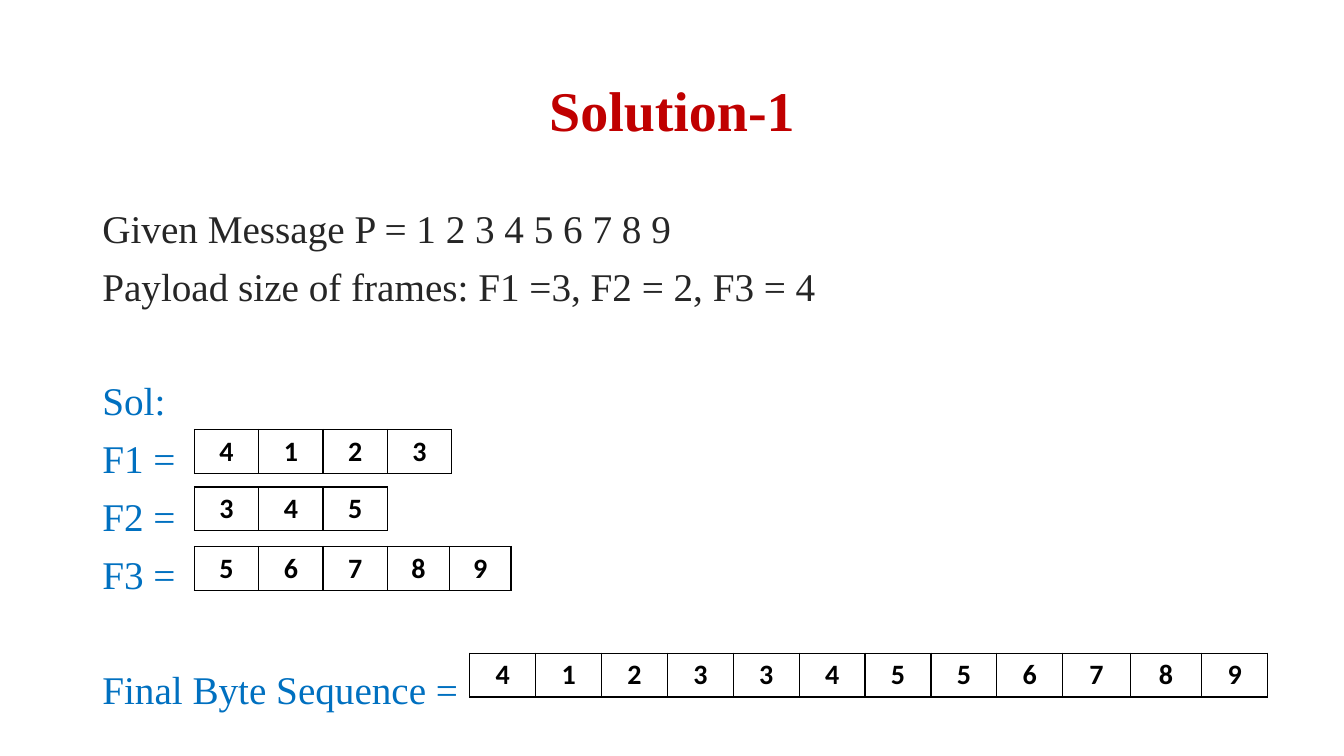
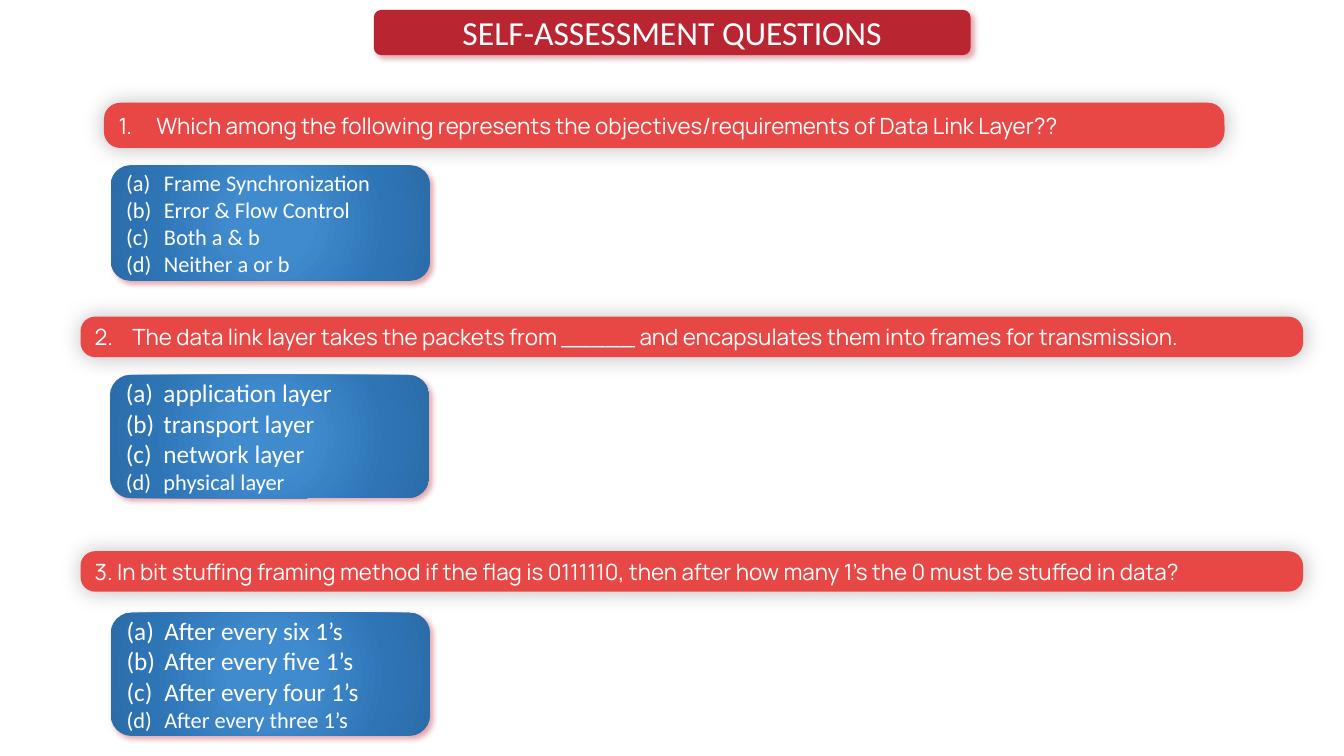
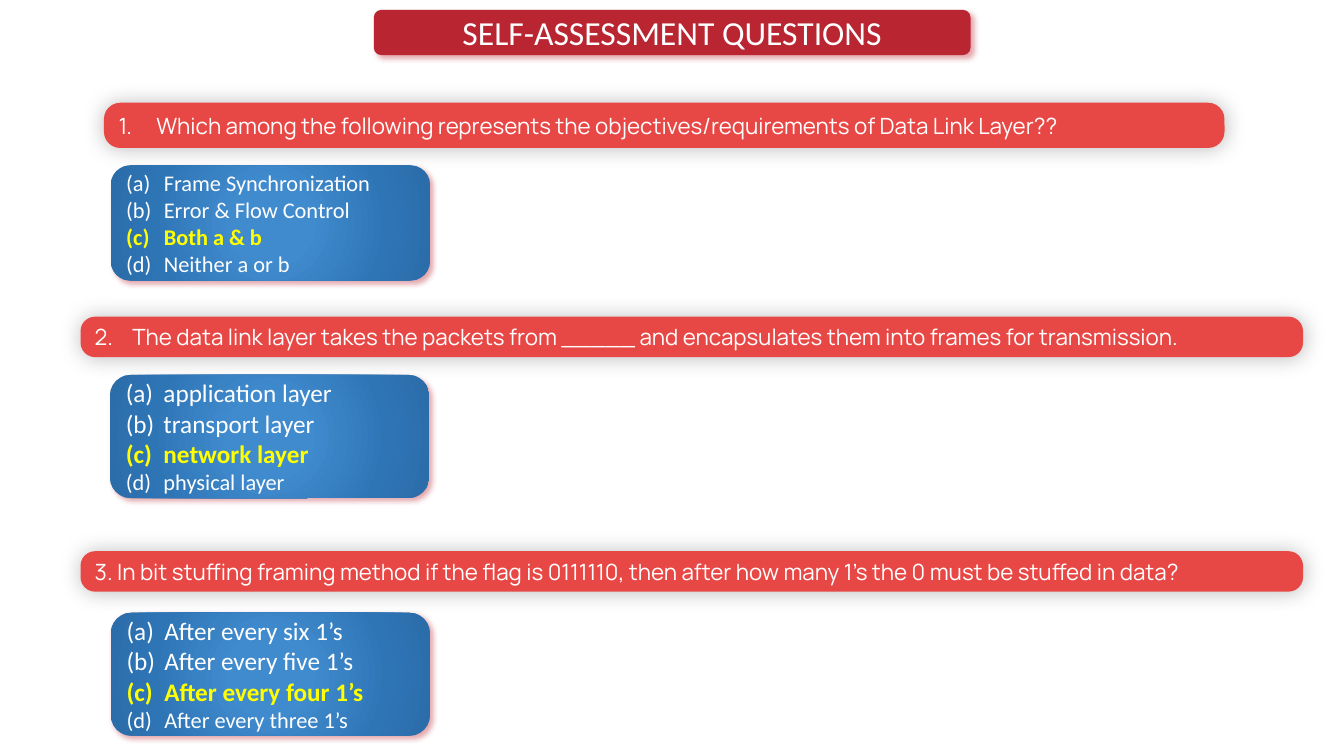
"""Build a framing solution slide and two self-assessment slides."""
from lxml import etree
from pptx import Presentation
from pptx.dml.color import RGBColor
from pptx.enum.shapes import MSO_SHAPE
from pptx.enum.text import MSO_ANCHOR, PP_ALIGN
from pptx.oxml.ns import qn
from pptx.util import Cm, Pt

ROUNDED = MSO_SHAPE.ROUNDED_RECTANGLE
MIDDLE, TOP = MSO_ANCHOR.MIDDLE, MSO_ANCHOR.TOP
CENTER, LEFT = PP_ALIGN.CENTER, PP_ALIGN.LEFT

BLACK = RGBColor(0x00, 0x00, 0x00)
WHITE = RGBColor(0xFF, 0xFF, 0xFF)
YELLOW = RGBColor(0xFF, 0xFF, 0x00)
TITLE_RED = RGBColor(0xC0, 0x00, 0x00)
INK = RGBColor(0x26, 0x26, 0x26)
BLUE = RGBColor(0x00, 0x70, 0xC0)
HEADER_RED = RGBColor(0xBA, 0x25, 0x32)
QUESTION_RED = RGBColor(0xE8, 0x48, 0x45)
OPTION_STOPS = [
    (0, RGBColor(0x40, 0x8B, 0xCE)),
    (23, RGBColor(0x40, 0x8B, 0xCE)),
    (69, RGBColor(0x2E, 0x75, 0xB6)),
    (97, RGBColor(0x2B, 0x6D, 0xA9)),
]

SERIF, SANS, QUESTION_FONT = "Times New Roman", "Calibri", "Manrope"
HANGING = 0.95
LINE_GAP, SECTION_GAP = 11.2, 51.4

SOLUTION_LINES = [
    ("Given Message P = 1 2 3 4 5 6 7 8 9", INK, 0),
    ("Payload size of frames: F1 =3, F2 = 2, F3 = 4", INK, LINE_GAP),
    ("Sol:", BLUE, SECTION_GAP),
    ("F1 =", BLUE, LINE_GAP),
    ("F2 =", BLUE, LINE_GAP),
    ("F3 =", BLUE, LINE_GAP),
    ("Final Byte Sequence =", BLUE, SECTION_GAP),
]
FRAMES = [
    (4.9, 10.82, "4123", [1.62] * 4),
    (4.9, 12.27, "345", [1.62] * 3),
    (4.9, 13.77, "56789", [1.62] * 3 + [1.57, 1.55]),
    (11.84, 16.46, "412334556789", [1.66] * 9 + [1.71, 1.79, 1.67]),
]

WIDE_LEFT, WIDE_WIDTH = 2.03, 30.81
QUESTIONS = [
    {
        "text": "Which among the following represents the objectives/requirements of Data Link Layer??",
        "number": 1,
        "bar": (2.62, 2.59, 28.24, 1.14),
        "options": ["Frame Synchronization", "Error & Flow Control", "Both a & b", "Neither a or b"],
        "panel": (2.79, 4.17, 8.05, 2.9),
        "sizes": [16, 16, 16, 16],
        "answer": 2,
    },
    {
        "text": "The data link layer takes the packets from _____ and encapsulates them into frames for transmission.",
        "number": 2,
        "bar": (WIDE_LEFT, 7.98, WIDE_WIDTH, 1.02),
        "options": ["application layer", "transport layer", "network layer", "physical layer"],
        "panel": (2.77, 9.45, 8.05, 3.1),
        "sizes": [18, 18, 18, 16],
        "answer": 2,
    },
    {
        "text": "3. In bit stuffing framing method if the flag is 0111110, then after how many 1’s the 0 must be stuffed in data?",
        "number": None,
        "bar": (WIDE_LEFT, 13.89, WIDE_WIDTH, 1.02),
        "options": ["After every six 1’s", "After every five 1’s", "After every four 1’s", "After every three 1’s"],
        "panel": (2.79, 15.44, 8.05, 3.1),
        "sizes": [18, 18, 18, 16],
        "answer": 2,
    },
]


def add_node(parent, tag, **attributes):
    node = etree.SubElement(parent, qn(tag))
    for name, value in attributes.items():
        node.set(name, str(value))
    return node


def style(paragraph, font, size, color, bold=False, align=LEFT):
    paragraph.alignment = align
    for span in paragraph.runs:
        span.font.name = font
        span.font.size = Pt(size)
        span.font.bold = bold
        span.font.color.rgb = color


def number_paragraph(paragraph, scheme, start=1):
    properties = paragraph._p.get_or_add_pPr()
    properties.set("marL", str(Cm(HANGING)))
    properties.set("indent", str(-Cm(HANGING)))
    numbering = add_node(properties, "a:buAutoNum", type=scheme)
    if start > 1:
        numbering.set("startAt", str(start))


def add_text(page, place, text, anchor):
    frame = page.shapes.add_textbox(*map(Cm, place)).text_frame
    frame.word_wrap = True
    frame.vertical_anchor = anchor
    frame.text = text
    for paragraph in frame.paragraphs:
        paragraph.line_spacing = 0.9
    return frame.paragraphs


def add_cells(page, left, top, digits, widths):
    table = page.shapes.add_table(
        1, len(digits), Cm(left), Cm(top), Cm(sum(widths)), Cm(1.1)
    ).table
    for column, width in zip(table.columns, widths):
        column.width = Cm(width)
    for cell, digit in zip(table.rows[0].cells, digits):
        cell.text = digit
        style(cell.text_frame.paragraphs[0], SANS, 20, BLACK, True, CENTER)
        properties = cell._tc.get_or_add_tcPr()
        for side in ("L", "R", "T", "B"):
            border = add_node(properties, f"a:ln{side}", w=Pt(1))
            add_node(add_node(border, "a:solidFill"), "a:srgbClr", val=BLACK)
        cell.fill.solid()
        cell.fill.fore_color.rgb = WHITE


def cast_shadow(shape, color, alpha, blur, distance, angle):
    shape.shadow.inherit = False
    effects = shape._element.spPr.find(qn("a:effectLst"))
    shadow = add_node(
        effects, "a:outerShdw", blurRad=Pt(blur), dist=Pt(distance),
        dir=angle * 60000, algn="ctr", rotWithShape=0,
    )
    add_node(add_node(shadow, "a:srgbClr", val=color), "a:alpha", val=alpha * 1000)


def fill_radial(shape, stops):
    gradient = etree.Element(qn("a:gradFill"), rotWithShape="1")
    stop_list = add_node(gradient, "a:gsLst")
    for position, color in stops:
        stop = add_node(stop_list, "a:gs", pos=position * 1000)
        add_node(stop, "a:srgbClr", val=color)
    circle = add_node(gradient, "a:path", path="circle")
    add_node(circle, "a:fillToRect", l=50000, t=50000, r=50000, b=50000)
    shape._element.spPr.find(qn("a:prstGeom")).addnext(gradient)


def add_panel(page, place, text, fill=None):
    panel = page.shapes.add_shape(ROUNDED, *map(Cm, place))
    panel.line.fill.background()
    if fill is None:
        fill_radial(panel, OPTION_STOPS)
    else:
        panel.fill.solid()
        panel.fill.fore_color.rgb = fill
    panel.text_frame.word_wrap = True
    panel.text_frame.vertical_anchor = MIDDLE
    panel.text_frame.text = text
    return panel


def add_header(page, text):
    header = add_panel(page, (9.42, 0.25, 15.04, 1.14), text, HEADER_RED)
    cast_shadow(header, HEADER_RED, 40, 4, 3, 45)
    style(header.text_frame.paragraphs[0], SANS, 24, WHITE, align=CENTER)


def add_question(page, question):
    bar = add_panel(page, question["bar"], question["text"], QUESTION_RED)
    bar.adjustments[0] = 0.36
    cast_shadow(bar, BLACK, 25, 15, 0, 0)
    paragraph = bar.text_frame.paragraphs[0]
    if question["number"]:
        number_paragraph(paragraph, "arabicPeriod", question["number"])
    style(paragraph, QUESTION_FONT, 16, WHITE)


def add_options(page, question, reveal):
    panel = add_panel(page, question["panel"], "\n".join(question["options"]))
    cast_shadow(panel, HEADER_RED, 40, 4, 3, 45)
    paragraphs = panel.text_frame.paragraphs
    for index, (paragraph, size) in enumerate(zip(paragraphs, question["sizes"])):
        correct = reveal and index == question["answer"]
        number_paragraph(paragraph, "alphaLcParenBoth")
        style(paragraph, SANS, size, YELLOW if correct else WHITE, correct)


def build_solution(page):
    title = add_text(page, (2.33, 1.02, 29.21, 3.68), "Solution-1", MIDDLE)
    style(title[0], SERIF, 40, TITLE_RED, True, CENTER)
    text = "\n".join(line for line, _, _ in SOLUTION_LINES)
    body = add_text(page, (2.33, 5.16, 29.21, 12.95), text, TOP)
    for paragraph, (_, color, gap) in zip(body, SOLUTION_LINES):
        if gap:
            paragraph.space_before = Pt(gap)
        style(paragraph, SERIF, 28, color)
    for left, top, digits, widths in FRAMES:
        add_cells(page, left, top, digits, widths)


def build_quiz(page, reveal):
    add_header(page, "SELF-ASSESSMENT QUESTIONS")
    for question in QUESTIONS:
        add_question(page, question)
        add_options(page, question, reveal)


def main():
    deck = Presentation()
    deck.slide_width, deck.slide_height = Cm(33.87), Cm(19.05)
    blank = deck.slide_layouts[6]
    build_solution(deck.slides.add_slide(blank))
    for reveal in (False, True):
        build_quiz(deck.slides.add_slide(blank), reveal)
    deck.save("out.pptx")


if __name__ == "__main__":
    main()
